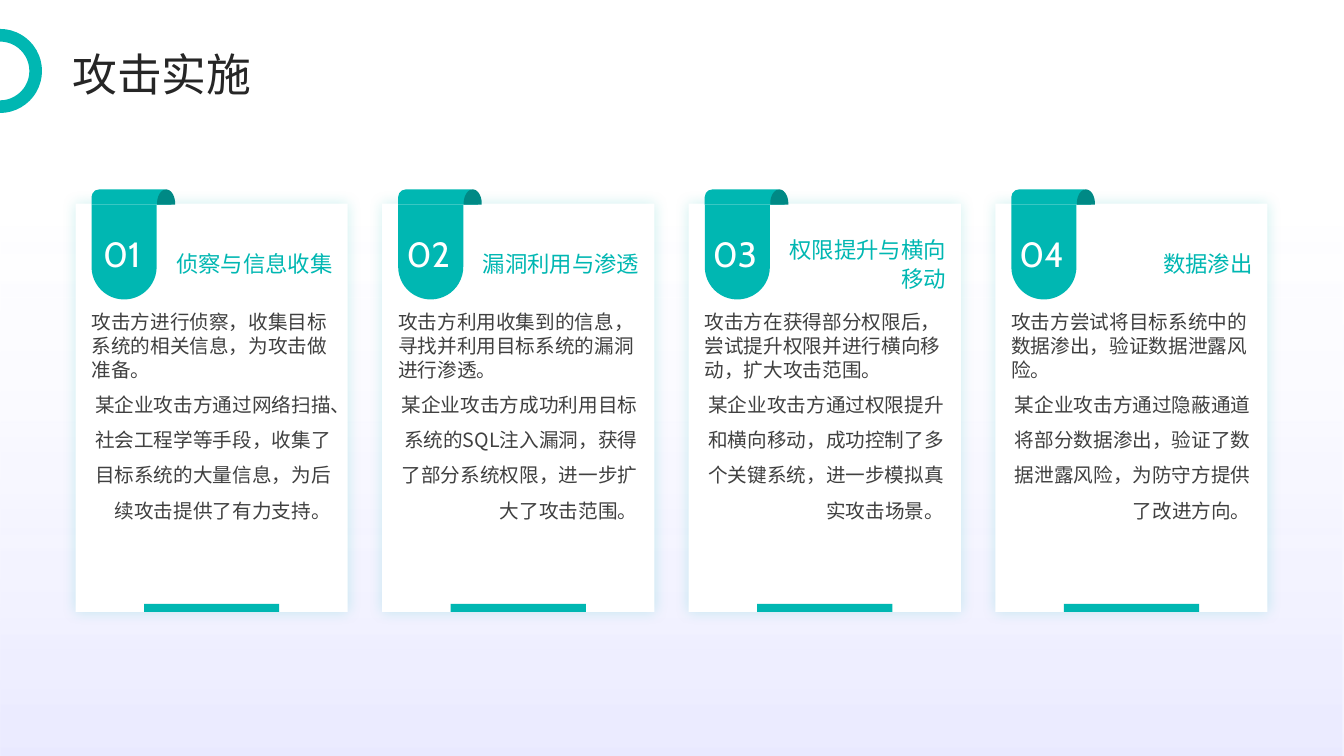
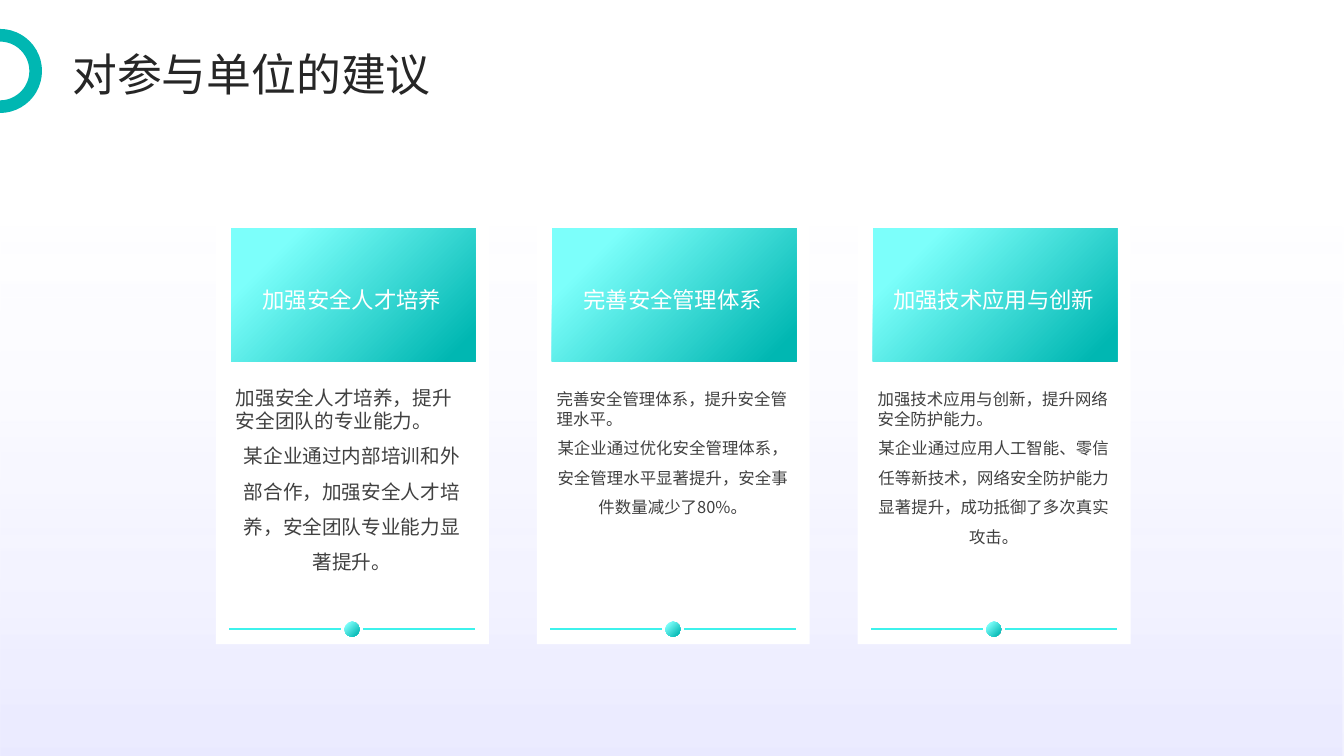
from dataclasses import dataclass
from math import cos, pi, sin

from lxml.etree import SubElement
from pptx import Presentation
from pptx.dml.color import RGBColor
from pptx.enum.shapes import MSO_CONNECTOR, MSO_SHAPE
from pptx.enum.text import MSO_ANCHOR, PP_ALIGN
from pptx.oxml.ns import qn
from pptx.util import Emu, Inches, Pt

COLORS = {
    "teal": "00B7B2",
    "dark_teal": "008985",
    "aqua": "7CFFFB",
    "bright_line": "3DF2EC",
    "lilac": "BCBCFF",
    "violet": "7979FF",
    "white": "FFFFFF",
    "title": "262626",
    "body": "404040",
}
CHINESE_FONT = "Noto Sans CJK SC"
NUMBER_FONT = "Cabin"
SLIDE_WIDTH = Inches(13.333)
SLIDE_HEIGHT = Inches(7.5)
COLUMNS, ROWS = 160, 90
ACCENT_STOPS = [(0.18, "aqua", None), (0.93, "teal", None)]
HAZE_STOPS = [(0.29, "lilac", 0), (1, "violet", 15)]


@dataclass
class Box:
    left: float
    top: float
    width: float
    height: float

    def inner(self, left, top, width, height):
        return Box(self.left + left, self.top + top, width, height)

    def lengths(self):
        return (across(self.left), down(self.top), across(self.width), down(self.height))


STEPS = [
    ("侦察与信息收集",
     "攻击方进行侦察，收集目标系统的相关信息，为攻击做准备。",
     "某企业攻击方通过网络扫描、社会工程学等手段，收集了目标系统的大量信息，为后续攻击提供了有力支持。"),
    ("漏洞利用与渗透",
     "攻击方利用收集到的信息，寻找并利用目标系统的漏洞进行渗透。",
     "某企业攻击方成功利用目标系统的SQL注入漏洞，获得了部分系统权限，进一步扩大了攻击范围。"),
    ("权限提升与横向移动",
     "攻击方在获得部分权限后，尝试提升权限并进行横向移动，扩大攻击范围。",
     "某企业攻击方通过权限提升和横向移动，成功控制了多个关键系统，进一步模拟真实攻击场景。"),
    ("数据渗出",
     "攻击方尝试将目标系统中的数据渗出，验证数据泄露风险。",
     "某企业攻击方通过隐蔽通道将部分数据渗出，验证了数据泄露风险，为防守方提供了改进方向。"),
]
ADVICE = [
    ("加强安全人才培养", 14, 20.3,
     "加强安全人才培养，提升安全团队的专业能力。",
     "某企业通过内部培训和外部合作，加强安全人才培养，安全团队专业能力显著提升。"),
    ("完善安全管理体系", 11.7, 20.75,
     "完善安全管理体系，提升安全管理水平。",
     "某企业通过优化安全管理体系，安全管理水平显著提升，安全事件数量减少了80%。"),
    ("加强技术应用与创新", 11.7, 20.75,
     "加强技术应用与创新，提升网络安全防护能力。",
     "某企业通过应用人工智能、零信任等新技术，网络安全防护能力显著提升，成功抵御了多次真实攻击。"),
]


def across(columns):
    return Emu(round(SLIDE_WIDTH * columns / COLUMNS))


def down(rows):
    return Emu(round(SLIDE_HEIGHT * rows / ROWS))


def color(name):
    return RGBColor.from_string(COLORS[name])


def paint(shape, fill):
    shape.shadow.inherit = False
    shape.line.fill.background()
    shape.fill.solid()
    shape.fill.fore_color.rgb = color(fill)


def add_block(slide, box, fill, kind=MSO_SHAPE.RECTANGLE):
    shape = slide.shapes.add_shape(kind, *box.lengths())
    paint(shape, fill)
    return shape


def add_gradient_block(slide, box, stops, angle, kind=MSO_SHAPE.RECTANGLE):
    shape = add_block(slide, box, "white", kind)
    shape.fill.gradient()
    shape.fill.gradient_angle = angle
    for stop, (position, name, opacity) in zip(shape.fill.gradient_stops, stops):
        stop.position = position
        stop.color.rgb = color(name)
        if opacity is not None:
            for element in shape.element.spPr.iter(qn("a:srgbClr")):
                if element.get("val") == COLORS[name]:
                    SubElement(element, qn("a:alpha"), val=str(opacity * 1000))
    return shape


def add_glow(shape):
    effects = shape.element.spPr.find(qn("a:effectLst"))
    shadow = SubElement(effects, qn("a:outerShdw"), blurRad=str(Pt(10)),
                        dist="0", dir="0", algn="ctr", rotWithShape="0")
    tint = SubElement(shadow, qn("a:srgbClr"), val=COLORS["teal"])
    SubElement(tint, qn("a:alpha"), val="20000")


def add_text(slide, box, lines, size, ink, anchor=MSO_ANCHOR.MIDDLE, font=CHINESE_FONT,
             margins=(0, 0)):
    frame = slide.shapes.add_textbox(*box.lengths()).text_frame
    frame.word_wrap = True
    frame.vertical_anchor = anchor
    frame.margin_left = frame.margin_right = Inches(margins[0])
    frame.margin_top = frame.margin_bottom = Inches(margins[1])
    for index, (text, alignment, spacing) in enumerate(lines):
        paragraph = frame.add_paragraph() if index else frame.paragraphs[0]
        paragraph.text = text
        paragraph.alignment = alignment
        paragraph.line_spacing = spacing
        paragraph.font.size = Pt(size)
        paragraph.font.name = font
        paragraph.font.color.rgb = color(ink)
        SubElement(paragraph.font._element, qn("a:ea"), typeface=CHINESE_FONT)


def add_body(slide, box, summary, example, size, alignment, margins=(0, 0)):
    lines = [(summary, PP_ALIGN.LEFT, 1.0), (example, alignment, 1.5)]
    add_text(slide, box, lines, size, "body", MSO_ANCHOR.TOP, margins=margins)


def add_rule(slide, left, right, row):
    rule = slide.shapes.add_connector(
        MSO_CONNECTOR.STRAIGHT, across(left), down(row), across(right), down(row))
    rule.line.color.rgb = color("bright_line")
    rule.line.width = Pt(1)
    SubElement(rule._element.spPr, qn("a:effectLst"))


def add_curl(slide, box):
    base = box.height * 0.93
    arc = [(box.left + box.width / 2 * (1 - cos(pi * step / 24)),
            box.top + base * (1 - sin(pi * step / 24))) for step in range(25)]
    bottom = box.top + box.height
    outline = arc + [(box.left + box.width, bottom), (box.left, bottom)]
    points = [(across(column), down(row)) for column, row in outline]
    builder = slide.shapes.build_freeform(*points[0])
    builder.add_line_segments(points[1:], close=True)
    paint(builder.convert_to_shape(), "dark_teal")


def add_ribbon(slide, box, number):
    tongue = add_block(slide, box.inner(0, 1.8, 7.75, 11.3), "teal",
                       MSO_SHAPE.ROUND_2_SAME_RECTANGLE)
    tongue.rotation = 180
    fold = add_block(slide, box.inner(0, 0, 9.5, 1.8), "teal",
                     MSO_SHAPE.ROUND_2_SAME_RECTANGLE)
    for shape in (tongue, fold):
        shape.adjustments[0] = 0.5
    add_curl(slide, box.inner(7.8, 0, 2.15, 1.8))
    add_text(slide, box.inner(-0.6, 4.2, 8.4, 6.25), [(f"{number:02d}", PP_ALIGN.CENTER, 1.1)],
             25, "white", font=NUMBER_FONT)


def add_step_card(slide, box, number, heading, summary, example):
    add_glow(add_block(slide, box, "white"))
    add_text(slide, box.inner(11.5, 3.7, 19.1, 6.6), [(heading, PP_ALIGN.RIGHT, 1.1)], 16, "teal")
    add_ribbon(slide, box.inner(1.9, -1.7, 9.9, 13.1), number)
    add_body(slide, box.inner(1.9, 12.7, 28.5, 32.9), summary, example, 14, PP_ALIGN.RIGHT)
    add_block(slide, box.inner(8.15, 47.65, 16.1, 0.95), "teal")


def add_advice_card(slide, box, heading, size, body_row, summary, example):
    add_block(slide, box, "white")
    add_gradient_block(slide, box.inner(1.8, 2.15, 29.1, 15.85), ACCENT_STOPS, 315)
    add_text(slide, box.inner(4.1, 5.4, 24.2, 9.6), [(heading, PP_ALIGN.CENTER, 1.3)], 16, "white")
    add_body(slide, box.inner(1.2, body_row, 30, 24.4), summary, example, size,
             PP_ALIGN.CENTER, (0.1, 0.05))
    for left, right in ((1.6, 14.9), (17.55, 30.85)):
        add_rule(slide, box.left + left, box.left + right, box.top + 49.9)
    add_gradient_block(slide, box.inner(15.3, 49, 1.8, 1.8), ACCENT_STOPS, 315, MSO_SHAPE.OVAL)


def add_base_slide(presentation, title):
    slide = presentation.slides.add_slide(presentation.slide_layouts[6])
    add_gradient_block(slide, Box(0, 0, COLUMNS, ROWS), HAZE_STOPS, 270)
    ring = add_block(slide, Box(-4.25, 4.2, 8.5, 8.5), "white", MSO_SHAPE.OVAL)
    ring.fill.background()
    ring.line.color.rgb = color("teal")
    ring.line.width = Pt(9)
    add_text(slide, Box(8.6, 5.6, 142.6, 5.6), [(title, PP_ALIGN.LEFT, 1.1)], 32, "title")
    return slide


def add_steps_slide(presentation):
    slide = add_base_slide(presentation, "攻击实施")
    for index, step in enumerate(STEPS):
        add_step_card(slide, Box(9 + 36.5 * index, 24.25, 32.4, 48.6), index + 1, *step)


def add_advice_slide(presentation):
    slide = add_base_slide(presentation, "对参与单位的建议")
    for index, advice in enumerate(ADVICE):
        add_advice_card(slide, Box(25.7 + 38.2 * index, 25, 32.5, 51.7), *advice)


def main():
    presentation = Presentation()
    presentation.slide_width = SLIDE_WIDTH
    presentation.slide_height = SLIDE_HEIGHT
    add_steps_slide(presentation)
    add_advice_slide(presentation)
    presentation.save("out.pptx")


if __name__ == "__main__":
    main()
